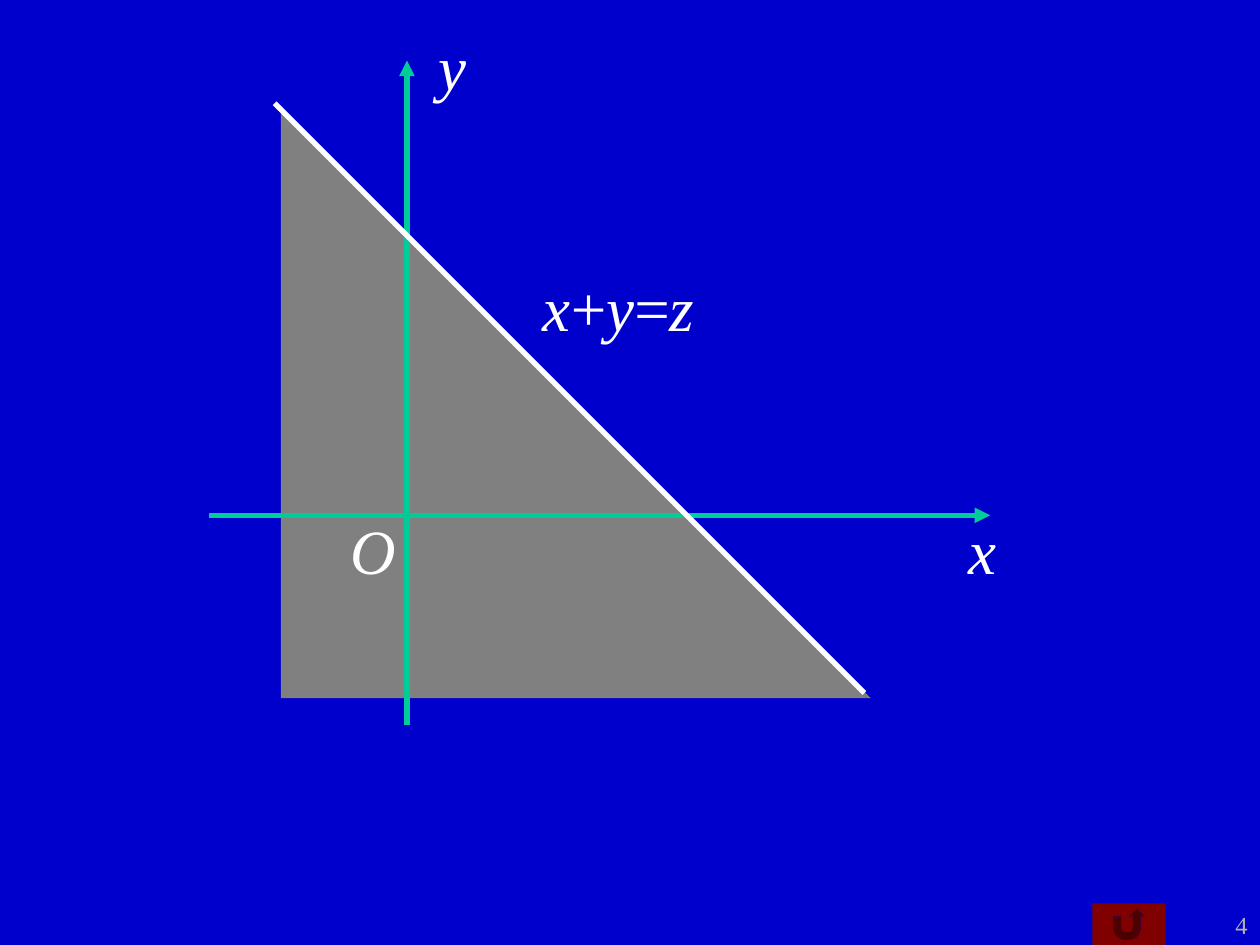
from dataclasses import dataclass
from typing import NamedTuple

from lxml import etree
from pptx import Presentation
from pptx import util as u
from pptx.dml.color import RGBColor as Rgb
from pptx.enum import shapes as kinds, text as txt
from pptx.oxml import ns


@dataclass(frozen=True)
class Theme:
    back: str = "0000CC"
    axis: str = "00CC99"
    area: str = "808080"
    ink: str = "FFFFFF"
    page: str = "B2B2B2"
    button: str = "800000"
    font: str = "Times New Roman"
    math: float = 36
    small: float = 14
    line: float = 3


class Box(NamedTuple):
    col: float
    row: float
    cols: float
    rows: float


class Stroke(NamedTuple):
    start: tuple[float, float]
    end: tuple[float, float]
    color: str
    arrow: bool


class Label(NamedTuple):
    words: str
    box: Box


THEME = Theme()
COLS, ROWS = 100, 75
WIDE, HIGH = u.Inches(10), u.Inches(7.5)
ORIGIN = (32.3, 40.9)
SIDE = 46.8

X_AXIS = Stroke((16.6, ORIGIN[1]), (78.6, ORIGIN[1]), THEME.axis, True)
Y_AXIS = Stroke((ORIGIN[0], 57.5), (ORIGIN[0], 4.8), THEME.axis, True)
EDGE = Stroke((21.8, 8.2), (21.8 + SIDE, 8.2 + SIDE), THEME.ink, False)
AREA = Box(22.3, 8.6, SIDE, SIDE)
BUTTON = Box(86.7, 71.7, 5.8, 3.3)
PAGE = Label("4", Box(93.3, 71.7, 6.7, 3.3))
LABELS = [
    Label("x", Box(75.9, 40.1, 4.2, 7)),
    Label("y", Box(33.8, 1.7, 4.2, 7)),
    Label("O", Box(26.8, 40.1, 5.6, 7)),
    Label("x+y=z", Box(42.1, 20.8, 14, 7)),
]


def across(col: float) -> int:
    return round(WIDE * col / COLS)


def down(row: float) -> int:
    return round(HIGH * row / ROWS)


def place(box: Box) -> tuple[int, int, int, int]:
    return across(box.col), down(box.row), across(box.cols), down(box.rows)


def style(item, values: dict) -> None:
    for name, value in values.items():
        setattr(item, name, value)


def draw_shape(slide, kind, box: Box, color: str) -> None:
    shape = slide.shapes.add_shape(kind, *place(box))
    shape.shadow.inherit = False
    shape.fill.solid()
    shape.fill.fore_color.rgb = Rgb.from_string(color)
    shape.line.fill.background()


def draw_line(slide, stroke: Stroke) -> None:
    (left, top), (right, low) = stroke.start, stroke.end
    line = slide.shapes.add_connector(
        kinds.MSO_CONNECTOR.STRAIGHT,
        across(left), down(top), across(right), down(low))
    line.line.width = u.Pt(THEME.line)
    line.line.color.rgb = Rgb.from_string(stroke.color)
    if stroke.arrow:
        etree.SubElement(line.line._get_or_add_ln(), ns.qn("a:tailEnd"), type="triangle")
    etree.SubElement(line._element.spPr, ns.qn("a:effectLst"))


def draw_text(slide, label: Label, size: float, color: str, align, wrap: bool) -> None:
    frame = slide.shapes.add_textbox(*place(label.box)).text_frame
    frame.word_wrap = wrap
    para = frame.paragraphs[0]
    para.alignment = align
    for sign in label.words:
        run = para.add_run()
        run.text = sign
        style(run.font, {"name": THEME.font, "size": u.Pt(size), "italic": sign.isalpha()})
        run.font.color.rgb = Rgb.from_string(color)


def main() -> None:
    deck = Presentation()
    style(deck, {"slide_width": WIDE, "slide_height": HIGH})
    slide = deck.slides.add_slide(deck.slide_layouts[6])
    slide.background.fill.solid()
    slide.background.fill.fore_color.rgb = Rgb.from_string(THEME.back)

    draw_shape(slide, kinds.MSO_SHAPE.ACTION_BUTTON_RETURN, BUTTON, THEME.button)
    draw_text(slide, PAGE, THEME.small, THEME.page, txt.PP_ALIGN.RIGHT, True)
    draw_shape(slide, kinds.MSO_SHAPE.RIGHT_TRIANGLE, AREA, THEME.area)
    for stroke in (X_AXIS, Y_AXIS, EDGE):
        draw_line(slide, stroke)
    for label in LABELS:
        draw_text(slide, label, THEME.math, THEME.ink, txt.PP_ALIGN.CENTER, False)
    deck.save("out.pptx")


if __name__ == "__main__":
    main()
